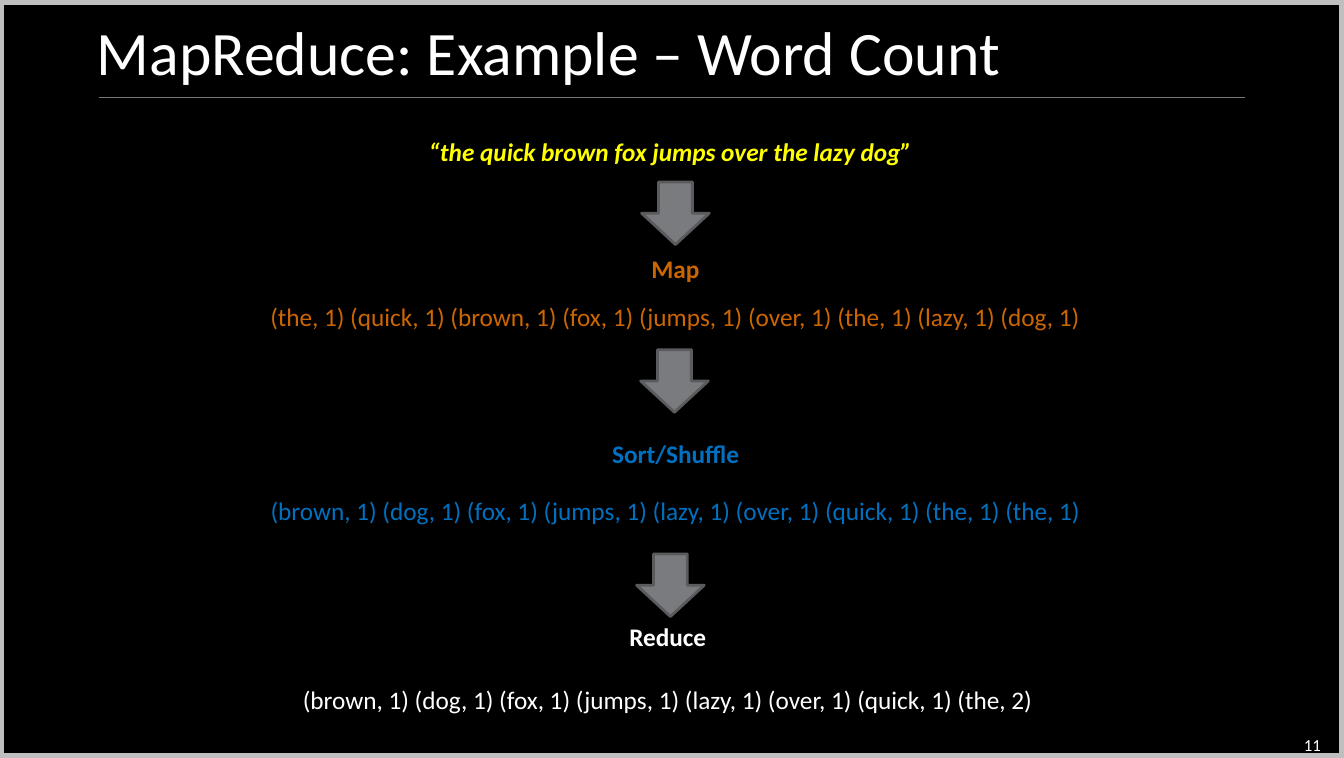
from dataclasses import dataclass
from lxml.etree import SubElement
from pptx import Presentation
from pptx.dml.color import RGBColor
from pptx.enum.shapes import MSO_CONNECTOR, MSO_SHAPE
from pptx.enum.text import MSO_ANCHOR, PP_ALIGN
from pptx.oxml.ns import qn
from pptx.util import Pt


@dataclass(frozen=True)
class Theme:
    font: str = "Calibri"
    back: str = "000000"
    frame: str = "BFBFBF"
    rule: str = "76787B"
    arrow: str = "797B7E"
    edge: str = "5A5B5D"
    light: str = "FFFFFF"
    quote: str = "FFFF00"
    map: str = "CC6600"
    sort: str = "0070C0"
    title_size: int = 44
    body_size: int = 18
    page_size: int = 12


class Board:
    def __init__(self, slide, theme):
        self.slide = slide
        self.theme = theme
        fill = slide.background.fill
        fill.solid()
        fill.fore_color.rgb = RGBColor.from_string(theme.back)

    def shape(self, kind, left, top, width, height, line, weight, fill=None):
        shape = self.slide.shapes.add_shape(
            kind, Pt(left), Pt(top), Pt(width), Pt(height))
        shape.shadow.inherit = False
        if fill:
            shape.fill.solid()
            shape.fill.fore_color.rgb = RGBColor.from_string(fill)
        else:
            shape.fill.background()
        shape.line.color.rgb = RGBColor.from_string(line)
        shape.line.width = Pt(weight)

    def arrow(self, left, top):
        self.shape(MSO_SHAPE.DOWN_ARROW, left, top, 48.2, 44.6,
                   self.theme.edge, 2, self.theme.arrow)

    def rule(self, left, right, top):
        line = self.slide.shapes.add_connector(
            MSO_CONNECTOR.STRAIGHT, Pt(left), Pt(top), Pt(right), Pt(top))
        line.line.color.rgb = RGBColor.from_string(self.theme.rule)
        line.line.width = Pt(0.75)
        SubElement(line._element.spPr, qn("a:effectLst"))

    def text(self, words, left, top, width, height, size, color,
             align=PP_ALIGN.CENTER, anchor=MSO_ANCHOR.TOP,
             bold=False, italic=False):
        box = self.slide.shapes.add_textbox(
            Pt(left), Pt(top), Pt(width), Pt(height))
        frame = box.text_frame
        frame.word_wrap = True
        frame.vertical_anchor = anchor
        frame.text = words
        para = frame.paragraphs[0]
        para.alignment = align
        font = para.runs[0].font
        font.name = self.theme.font
        font.size = Pt(size)
        font.bold = bold
        font.italic = italic
        font.color.rgb = RGBColor.from_string(color)

    def row(self, words, center, top, color, bold=False, italic=False):
        width = 940
        self.text(words, center - width / 2, top, width, 29,
                  self.theme.body_size, color, bold=bold, italic=italic)


def main():
    deck = Presentation()
    deck.slide_width, deck.slide_height = Pt(957.6), Pt(540)
    theme = Theme()
    board = Board(deck.slides.add_slide(deck.slide_layouts[6]), theme)

    # Frame, page number and title
    board.shape(MSO_SHAPE.RECTANGLE, -1, 0, 959, 540, theme.frame, 7.25)
    board.text("11", 725, 516.2, 223.2, 28.8, theme.page_size, theme.light,
               PP_ALIGN.RIGHT, MSO_ANCHOR.MIDDLE)
    board.text("MapReduce: Example – Word Count", 62, 0, 759, 72,
               theme.title_size, theme.light, PP_ALIGN.LEFT, MSO_ANCHOR.MIDDLE)
    board.rule(70.5, 887, 69.8)

    # Input sentence
    board.row("“the quick brown fox jumps over the lazy dog”",
              477.7, 93.6, theme.quote, bold=True, italic=True)

    # Steps: name, top, pairs, top, center, color
    steps = [
        ("Map", 177.1,
         "(the, 1) (quick, 1) (brown, 1) (fox, 1) (jumps, 1) (over, 1) "
         "(the, 1) (lazy, 1) (dog, 1)", 211, 481.2, theme.map),
        ("Sort/Shuffle", 308.9,
         "(brown, 1) (dog, 1) (fox, 1) (jumps, 1) (lazy, 1) (over, 1) "
         "(quick, 1) (the, 1) (the, 1)", 349.2, 481.4, theme.sort),
        ("Reduce", 439.2,
         "(brown, 1) (dog, 1) (fox, 1) (jumps, 1) (lazy, 1) (over, 1) "
         "(quick, 1) (the, 2)", 483.8, 475.8, theme.light),
    ]
    for name, top, pairs, low, center, color in steps:
        board.row(name, center, top, color, bold=True)
        board.row(pairs, center, low, color)

    # Arrows between the steps
    for left, top in [(457.2, 129.6), (456.5, 249.1), (453.6, 394.6)]:
        board.arrow(left, top)

    deck.save("out.pptx")


if __name__ == "__main__":
    main()
